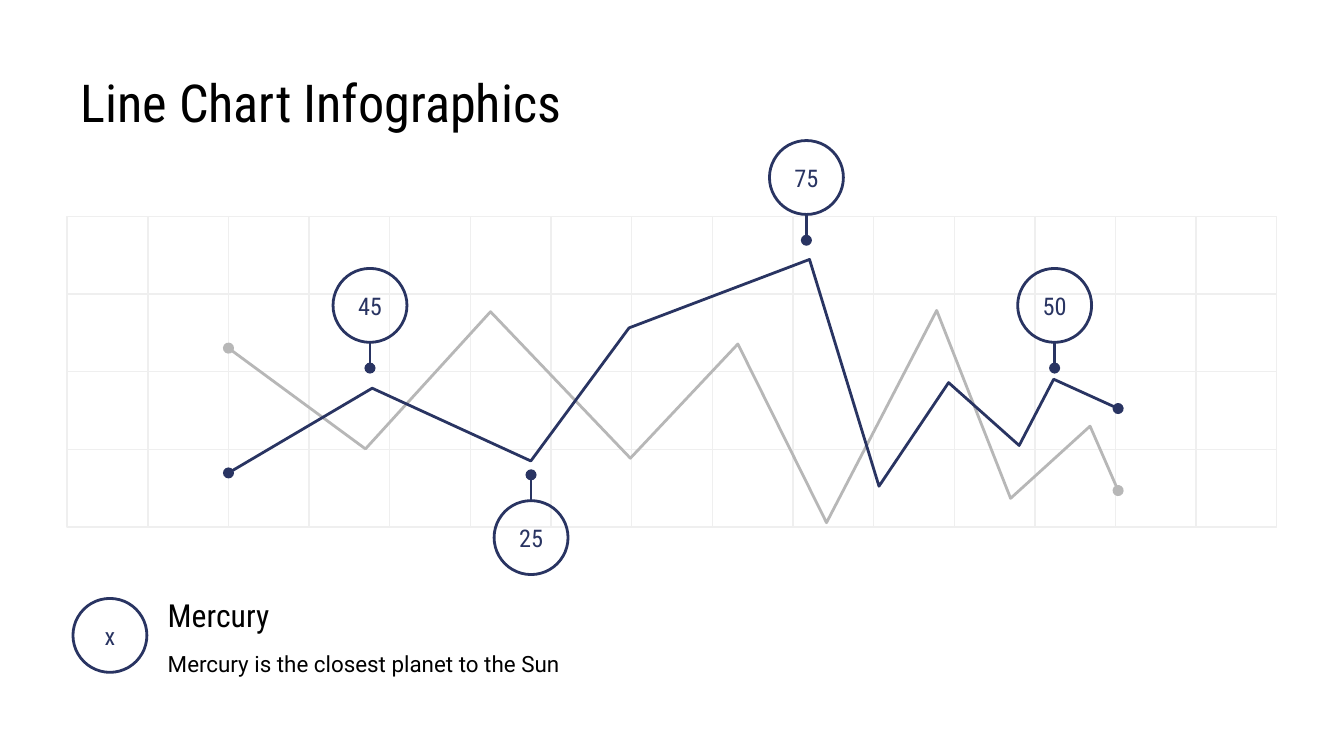
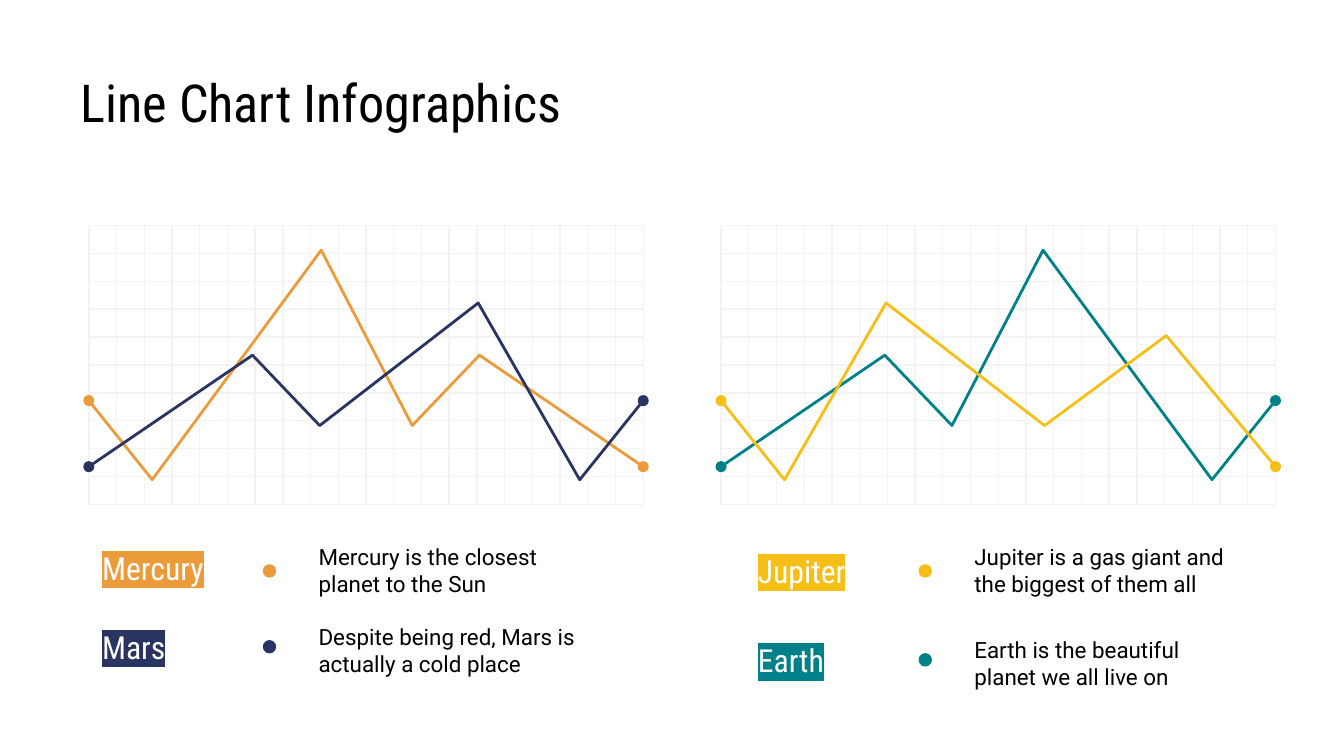
from lxml import etree
from pptx import Presentation
from pptx.dml.color import RGBColor
from pptx.enum.shapes import MSO_CONNECTOR, MSO_SHAPE
from pptx.enum.text import MSO_ANCHOR, MSO_AUTO_SIZE, PP_ALIGN
from pptx.oxml.ns import qn
from pptx.util import Pt

RECT, OVAL = MSO_SHAPE.RECTANGLE, MSO_SHAPE.OVAL
STRAIGHT = MSO_CONNECTOR.STRAIGHT
TOP, MIDDLE = MSO_ANCHOR.TOP, MSO_ANCHOR.MIDDLE
LEFT, CENTER = PP_ALIGN.LEFT, PP_ALIGN.CENTER
NO_FIT = MSO_AUTO_SIZE.NONE

HEAD_FONT, BODY_FONT = "Roboto Condensed", "Roboto"
BLACK, WHITE = "000000", "FFFFFF"
NAVY, ORANGE, TEAL, YELLOW = "293462", "EC9B3B", "00818A", "F7BE16"
GRAY, GRID, PALE_GRID = "B7B7B7", "EFEFEF", "F3F3F3"
color = RGBColor.from_string


def add_line(shapes, points, line_color, width=1.5, ends=()):
    pts = [(Pt(x), Pt(y)) for x, y in points]
    if len(pts) == 2:
        shape = shapes.add_connector(STRAIGHT, *pts[0], *pts[1])
    else:
        builder = shapes.build_freeform(*pts[0])
        builder.add_line_segments(pts[1:], close=False)
        shape = builder.convert_to_shape()
        shape.fill.background()
    shape.line.color.rgb = color(line_color)
    shape.line.width = Pt(width)
    spPr = shape._element.spPr
    for end in ends:
        etree.SubElement(spPr.find(qn("a:ln")), qn("a:" + end), type="oval")
    etree.SubElement(spPr, qn("a:effectLst"))


def set_text(shape, text, size, font=HEAD_FONT, text_color=BLACK, anchor=MIDDLE,
             align=LEFT, inset=7.2, highlight=None):
    tf = shape.text_frame
    tf.word_wrap = True
    tf.auto_size = NO_FIT
    tf.vertical_anchor = anchor
    tf.margin_left = tf.margin_right = tf.margin_top = tf.margin_bottom = Pt(inset)
    p = tf.paragraphs[0]
    p.alignment = align
    r = p.add_run()
    r.text = text
    r.font.size = Pt(size)
    r.font.name = font
    r.font.color.rgb = color(text_color)
    if highlight:
        hl = etree.Element(qn("a:highlight"))
        etree.SubElement(hl, qn("a:srgbClr"), val=highlight)
        r._r.rPr.find(qn("a:solidFill")).addnext(hl)


prs = Presentation()
prs.slide_width, prs.slide_height = Pt(720), Pt(405)
slides = []
for i in range(2):
    s = prs.slides.add_slide(prs.slide_layouts[5])
    title = s.shapes.title
    title.left, title.top, title.width, title.height = Pt(36), Pt(30.4), Pt(648), Pt(45)
    set_text(title, "Line Chart Infographics", 28, anchor=TOP)
    slides.append(s)

s = slides[0]
left, top, width, height = 36, 115.9, 648, 166.4
columns, rows = 15, 4
grid = s.shapes.add_group_shape().shapes
frame = grid.add_shape(RECT, Pt(left), Pt(top), Pt(width), Pt(height))
frame.shadow.inherit = False
frame.fill.background()
frame.line.color.rgb = color(GRID)
frame.line.width = Pt(0.75)
for i in range(1, columns):
    x = left + i * width / columns
    add_line(grid, [(x, top), (x, top + height)], GRID, 0.75)
for i in range(1, rows):
    y = top + i * height / rows
    add_line(grid, [(left, y), (left + width, y)], GRID, 0.75)

gray_series = [(122.4, 186.5), (195.8, 240.5), (262.8, 167), (337.7, 245.5), (395.3, 184.3),
               (442.8, 280), (501.8, 166.3), (541.4, 267), (584, 228.3), (599, 262.8)]
navy_series = [(122.4, 253.4), (199.4, 208), (284.4, 247), (337, 175.7), (433.7, 139),
               (470.9, 260.5), (508.2, 205), (546, 238.7), (564.5, 203.2), (599, 218.9)]
for points, line_color in ((gray_series, GRAY), (navy_series, NAVY)):
    add_line(s.shapes, points, line_color, ends=("headEnd", "tailEnd"))

radius, pin = 19.8, 13.8
for text, x, y, direction in (("45", 198.2, 163.6, 1), ("25", 284.5, 288, -1), ("75", 432, 95.1, 1),
                              ("50", 565, 163.6, 1), ("x", 58.9, 340.4, 0)):
    if direction:
        edge = y + direction * radius
        add_line(s.shapes, [(x, edge), (x, edge + direction * pin)], NAVY, ends=("tailEnd",))
    circle = s.shapes.add_shape(OVAL, Pt(x - radius), Pt(y - radius), Pt(2 * radius), Pt(2 * radius))
    circle.shadow.inherit = False
    circle.fill.background()
    circle.line.color.rgb = color(NAVY)
    circle.line.width = Pt(1.5)
    set_text(circle, text, 13, text_color=NAVY, align=CENTER, inset=0)

tb = s.shapes.add_textbox(Pt(82.8), Pt(317.6), Pt(324), Pt(23.8))
set_text(tb, "Mercury", 17)
tb = s.shapes.add_textbox(Pt(82.8), Pt(335.6), Pt(324), Pt(39.6))
set_text(tb, "Mercury is the closest planet to the Sun", 12, BODY_FONT)

s = slides[1]
top, width, height = 120.8, 297, 149.5
columns, rows = 20, 10
high_peak = [(0, 214.6), (34, 257), (124.5, 134), (173.3, 228), (209.3, 190.3), (width, 250)]
low_peak = [(0, 214.6), (34, 257), (88.4, 162.3), (173.3, 228), (209.3, 190.3), (width, 250)]
late_rise = low_peak[:4] + [(238.5, 179.8), (width, 250)]
panels = (
    (47.6, ((high_peak, False, ORANGE), (low_peak, True, NAVY))),
    (386.3, ((high_peak, True, TEAL), (late_rise, False, YELLOW))),
)
for left, series in panels:
    grid = s.shapes.add_group_shape().shapes
    for i in range(columns + 1):
        x = left + i * width / columns
        add_line(grid, [(x, top), (x, top + height)], PALE_GRID, 0.75)
    for i in range(rows + 1):
        y = top + i * height / rows
        add_line(grid, [(left, y), (left + width, y)], PALE_GRID, 0.75)
    for points, mirrored, line_color in series:
        placed = [(left + (width - x if mirrored else x), y) for x, y in points]
        add_line(s.shapes, placed, line_color, ends=("headEnd", "tailEnd"))

legend = (
    (0, 292.3, 302.3, 285.8, ORANGE, "Mercury", "Mercury is the closest planet to the Sun"),
    (0, 334.6, 342.9, 328.3, NAVY, "Mars", "Despite being red, Mars is actually a cold place"),
    (351.3, 293.8, 302.3, 285.8, YELLOW, "Jupiter", "Jupiter is a gas giant and the biggest of them all"),
    (351.3, 341.7, 349.9, 335.4, TEAL, "Earth", "Earth is the beautiful planet we all live on"),
)
for dx, label_top, dot_top, text_top, fill_color, name, text in legend:
    tb = s.shapes.add_textbox(Pt(47.6 + dx), Pt(label_top), Pt(83.5), Pt(23.8))
    set_text(tb, name, 17, text_color=WHITE, highlight=fill_color)
    dot = s.shapes.add_shape(OVAL, Pt(140.8 + dx), Pt(dot_top), Pt(7.2), Pt(7.2))
    dot.shadow.inherit = False
    dot.fill.solid()
    dot.fill.fore_color.rgb = color(fill_color)
    dot.line.fill.background()
    tb = s.shapes.add_textbox(Pt(163.6 + dx), Pt(text_top), Pt(157), Pt(39.6))
    set_text(tb, text, 12, BODY_FONT)

prs.save("out.pptx")
